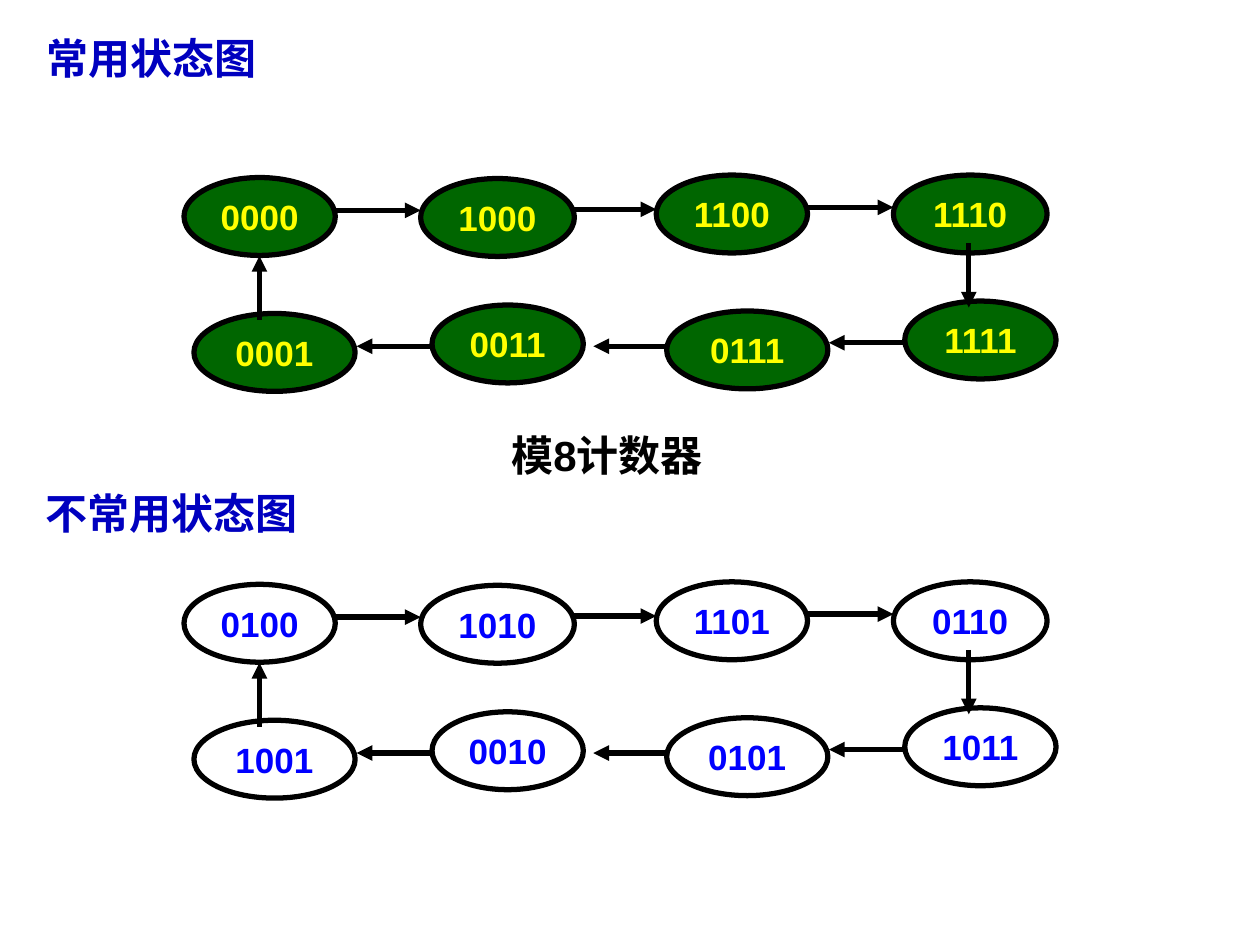
import pptx
import pptx.dml.color
import pptx.enum.shapes
import pptx.enum.text
import pptx.oxml
import pptx.oxml.ns
import pptx.util

Cm = pptx.util.Cm
Pt = pptx.util.Pt
Align = pptx.enum.text.PP_ALIGN
Anchor = pptx.enum.text.MSO_ANCHOR
hues = {"green": "006600", "yellow": "FFFF00", "white": "FFFFFF",
        "blue": "0000FF", "navy": "0000BF", "black": "000000"}
latin, hans = "Arial", "Noto Sans CJK SC"


def rgb(name):
    return pptx.dml.color.RGBColor.from_string(hues[name])


def write(shape, *runs, size=24, hue="black", align=Align.LEFT,
          anchor=Anchor.TOP, wrap=False):
    """Fill a shape with one bold paragraph; each run is (text, font)."""
    frame = shape.text_frame
    frame.word_wrap = wrap
    frame.vertical_anchor = anchor
    para = frame.paragraphs[0]
    para.alignment = align
    for text, face in runs:
        run = para.add_run()
        run.text = text
        font = run.font
        font.size, font.bold, font.name = Pt(size), True, face
        font.color.rgb = rgb(hue)
        east = pptx.oxml.parse_xml(
            f'<a:ea {pptx.oxml.ns.nsdecls("a")} typeface="{face}"/>')
        run._r.get_or_add_rPr().find(pptx.oxml.ns.qn("a:latin")).addnext(east)


deck = pptx.Presentation()
deck.slide_width, deck.slide_height = Cm(25.4), Cm(19.05)
slide = deck.slides.add_slide(deck.slide_layouts[6])
shapes = slide.shapes

# Clockwise from the top left: left, top, width
spots = [(3.71, 3.58, 3.05), (8.48, 3.6, 3.1), (13.23, 3.53, 3.05),
         (18.01, 3.53, 3.1), (18.24, 6.07, 3.05), (13.44, 6.27, 3.25),
         (8.71, 6.15, 3.05), (3.91, 6.32, 3.25)]
# Start x, start y, end x, end y
moves = [(6.73, 4.24, 8.48, 4.24), (11.53, 4.22, 13.23, 4.22),
         (16.26, 4.18, 18.01, 4.18), (19.53, 4.9, 19.53, 6.2),
         (18.24, 6.91, 16.71, 6.91), (13.44, 6.98, 11.96, 6.98),
         (8.71, 6.98, 7.19, 6.98), (5.23, 6.45, 5.23, 5.16)]
# Offset down, fill, text colour, states
rings = [
    (0, "green", "yellow", "0000 1000 1100 1110 1111 0111 0011 0001"),
    (8.2, "white", "blue", "0100 1010 1101 0110 1011 0101 0010 1001"),
]

for down, fill, hue, states in rings:
    for state, (left, top, width) in zip(states.split(), spots):
        oval = shapes.add_shape(pptx.enum.shapes.MSO_SHAPE.OVAL, Cm(left),
                                Cm(top + down), Cm(width), Cm(1.57))
        oval.shadow.inherit = False
        oval.fill.solid()
        oval.fill.fore_color.rgb = rgb(fill)
        oval.line.color.rgb = rgb("black")
        oval.line.width = Pt(3)
        write(oval, (state, latin), size=20, hue=hue, align=Align.CENTER,
              anchor=Anchor.MIDDLE)
    for x1, y1, x2, y2 in moves:
        arrow = shapes.add_connector(
            pptx.enum.shapes.MSO_CONNECTOR.STRAIGHT,
            Cm(x1), Cm(y1 + down), Cm(x2), Cm(y2 + down))
        arrow.line.color.rgb = rgb("black")
        arrow.line.width = Pt(3)
        line = arrow.line._get_or_add_ln()
        line.append(pptx.oxml.parse_xml(
            f'<a:tailEnd {pptx.oxml.ns.nsdecls("a")} type="triangle"/>'))
        line.addnext(pptx.oxml.parse_xml(
            f'<a:effectLst {pptx.oxml.ns.nsdecls("a")}/>'))

for text, left, top, width in [("常用状态图", 0.69, 0.53, 6.2),
                               ("不常用状态图", 0.66, 9.7, 6.4)]:
    head = shapes.add_textbox(Cm(left), Cm(top), Cm(width), Cm(1.27))
    write(head, (text, hans), hue="navy", wrap=True)

label = shapes.add_textbox(Cm(10.06), Cm(8.53), Cm(4.78), Cm(1.27))
write(label, ("模", hans), ("8", latin), ("计数器", hans))

deck.save("out.pptx")
